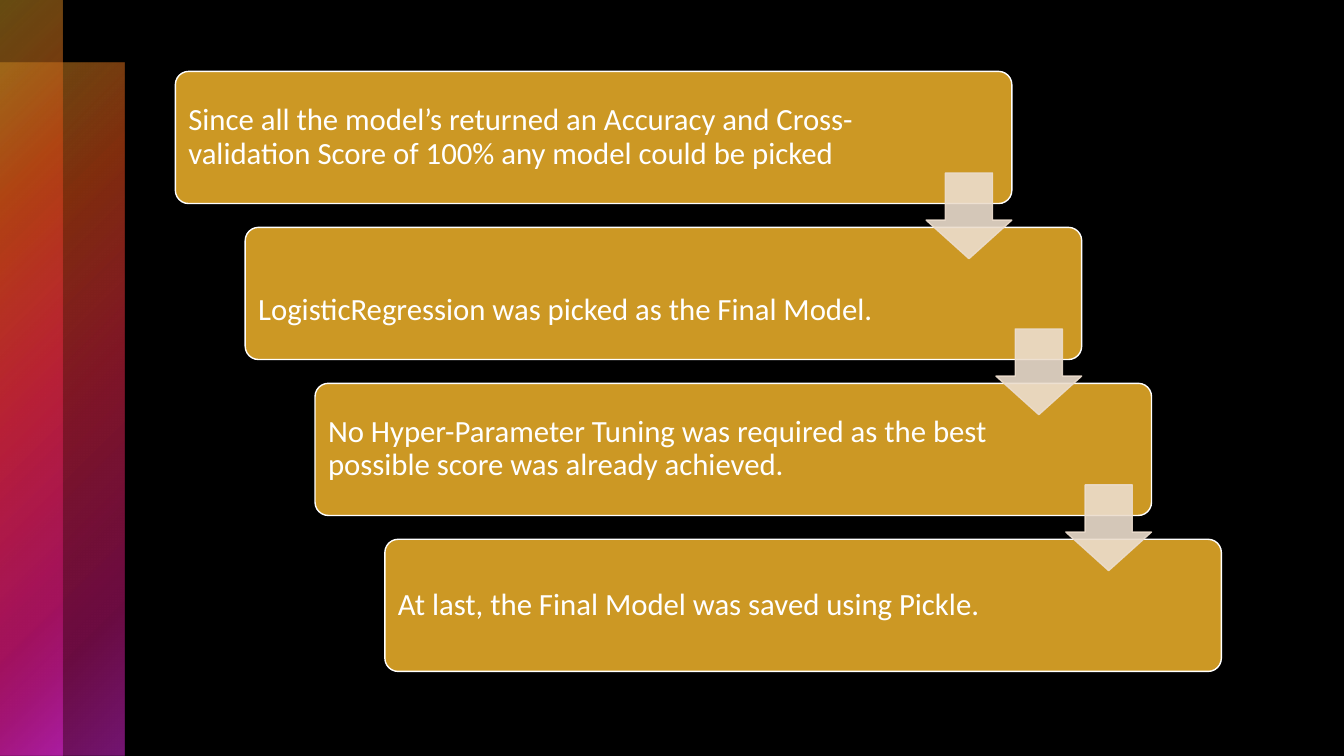
from dataclasses import dataclass

from pptx import Presentation
from pptx.dml.color import RGBColor
from pptx.enum.shapes import MSO_SHAPE as Shape
from pptx.enum.text import MSO_ANCHOR as Anchor, PP_ALIGN as Align
from pptx.oxml import parse_xml
from pptx.oxml.ns import nsdecls, qn
from pptx.util import Cm, Pt


@dataclass(frozen=True)
class Theme:
    background: str = "000000"
    card: str = "CC9824"
    arrow: str = "ECDDCD"
    text: str = "FFFFFF"
    font: str = "Calibri"
    size: int = 22
    arrow_alpha: int = 90
    # position, colour and opacity of each gradient stop
    gradient: tuple = (
        (0, "CC9824", 50),
        (25, "D54C17", 60),
        (50, "E72944", 55),
        (81, "D51781", 50),
        (99, "E729E2", 50),
    )


THEME = Theme()
SLIDE_W, SLIDE_H = 33.87, 19.05
BAND = 1.57
CARD_X, CARD_Y, CARD_W, CARD_H = 4.42, 1.8, 21.08, 3.33
STEP_X, STEP_Y = 1.76, 3.93
ARROW, ARROW_DROP = 2.16, 2.56
INSET, ARROW_ROOM, LINE = 0.23, 3.88, 0.85

# wording and the number of lines it is lowered by
STEPS = (
    ("Since all the model’s returned an Accuracy and Cross-validation Score "
     "of 100% any model could be picked", 0),
    ("LogisticRegression was picked as the Final Model.", 1),
    ("No Hyper-Parameter Tuning was required as the best possible score "
     "was already achieved.", 0),
    ("At last, the Final Model was saved using Pickle.", 0),
)


def add_shape(s, kind, x, y, w, h, fill=None, line=None, adjust=()):
    sp = s.shapes.add_shape(kind, Cm(x), Cm(y), Cm(w), Cm(h))
    sp.shadow.inherit = False
    for i, value in enumerate(adjust):
        sp.adjustments[i] = value
    if fill:
        sp.fill.solid()
        sp.fill.fore_color.rgb = RGBColor.from_string(fill)
    if line:
        sp.line.color.rgb = RGBColor.from_string(line)
        sp.line.width = Pt(1)
    else:
        sp.line.fill.background()
    return sp


def set_alpha(sp, percent):
    """Make the solid fill and the line of a shape translucent."""
    for color in sp._element.spPr.iter(qn("a:srgbClr")):
        color.append(parse_xml(
            f'<a:alpha {nsdecls("a")} val="{percent * 1000}"/>'))


def set_text(sp, text, size=THEME.size, color=THEME.text, top=INSET, right=INSET):
    tf = sp.text_frame
    tf.word_wrap = True
    tf.vertical_anchor = Anchor.MIDDLE
    tf.margin_left = tf.margin_bottom = Cm(INSET)
    tf.margin_top, tf.margin_right = Cm(top), Cm(right)
    p = tf.paragraphs[0]
    p.alignment = Align.LEFT
    p.line_spacing = 0.9
    r = p.add_run()
    r.text = text
    r.font.name = THEME.font
    r.font.size = Pt(size)
    r.font.color.rgb = RGBColor.from_string(color)


def add_panel(s, y, w):
    """Translucent side panel, shaded outward from its top left corner."""
    sp = add_shape(s, Shape.RECTANGLE, 0, y, w, SLIDE_H - y)
    stops = "".join(
        f'<a:gs pos="{pos * 1000}"><a:srgbClr val="{color}">'
        f'<a:alpha val="{alpha * 1000}"/></a:srgbClr></a:gs>'
        for pos, color, alpha in THEME.gradient)
    sp._element.spPr.find(qn("a:prstGeom")).addnext(parse_xml(
        f'<a:gradFill {nsdecls("a")} rotWithShape="1"><a:gsLst>{stops}</a:gsLst>'
        '<a:path path="circle"><a:fillToRect r="100000" b="100000"/></a:path>'
        '</a:gradFill>'))


def add_card(s, i, text, lowered):
    sp = add_shape(s, Shape.ROUNDED_RECTANGLE, CARD_X + i * STEP_X,
                   CARD_Y + i * STEP_Y, CARD_W, CARD_H,
                   fill=THEME.card, line=THEME.text, adjust=(0.1,))
    set_text(sp, text, top=INSET + lowered * LINE, right=ARROW_ROOM)


def add_arrow(s, i):
    """Arrow from card i to the next, flush with the right edge of card i."""
    sp = add_shape(s, Shape.DOWN_ARROW, CARD_X + CARD_W - ARROW + i * STEP_X,
                   CARD_Y + ARROW_DROP + i * STEP_Y, ARROW, ARROW,
                   fill=THEME.arrow, line=THEME.arrow, adjust=(0.55, 0.45))
    set_alpha(sp, THEME.arrow_alpha)


def main():
    prs = Presentation()
    prs.slide_width, prs.slide_height = Cm(SLIDE_W), Cm(SLIDE_H)
    s = prs.slides.add_slide(prs.slide_layouts[6])
    s.background.fill.solid()
    s.background.fill.fore_color.rgb = RGBColor.from_string(THEME.background)

    add_panel(s, BAND, 2 * BAND)
    add_panel(s, 0, BAND)
    for i, (text, lowered) in enumerate(STEPS):
        add_card(s, i, text, lowered)
    for i in range(len(STEPS) - 1):
        add_arrow(s, i)
    prs.save("out.pptx")


if __name__ == "__main__":
    main()
